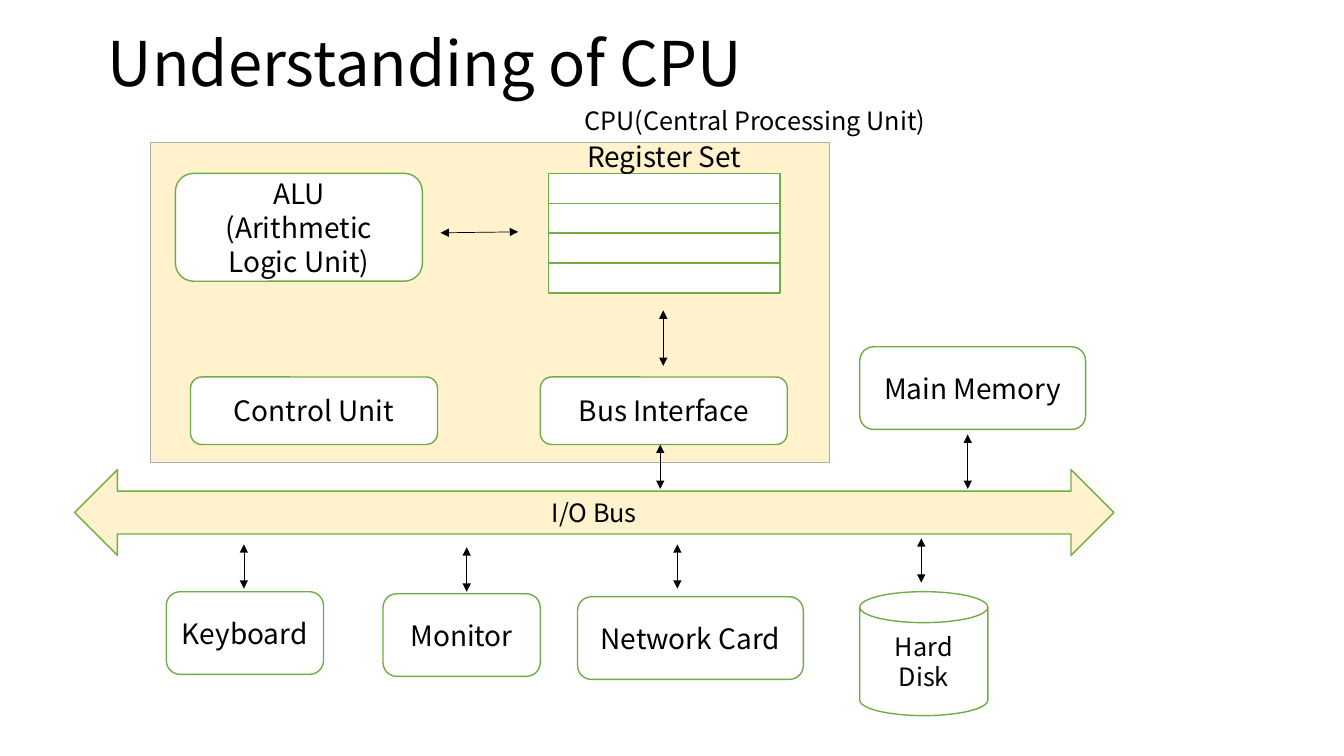
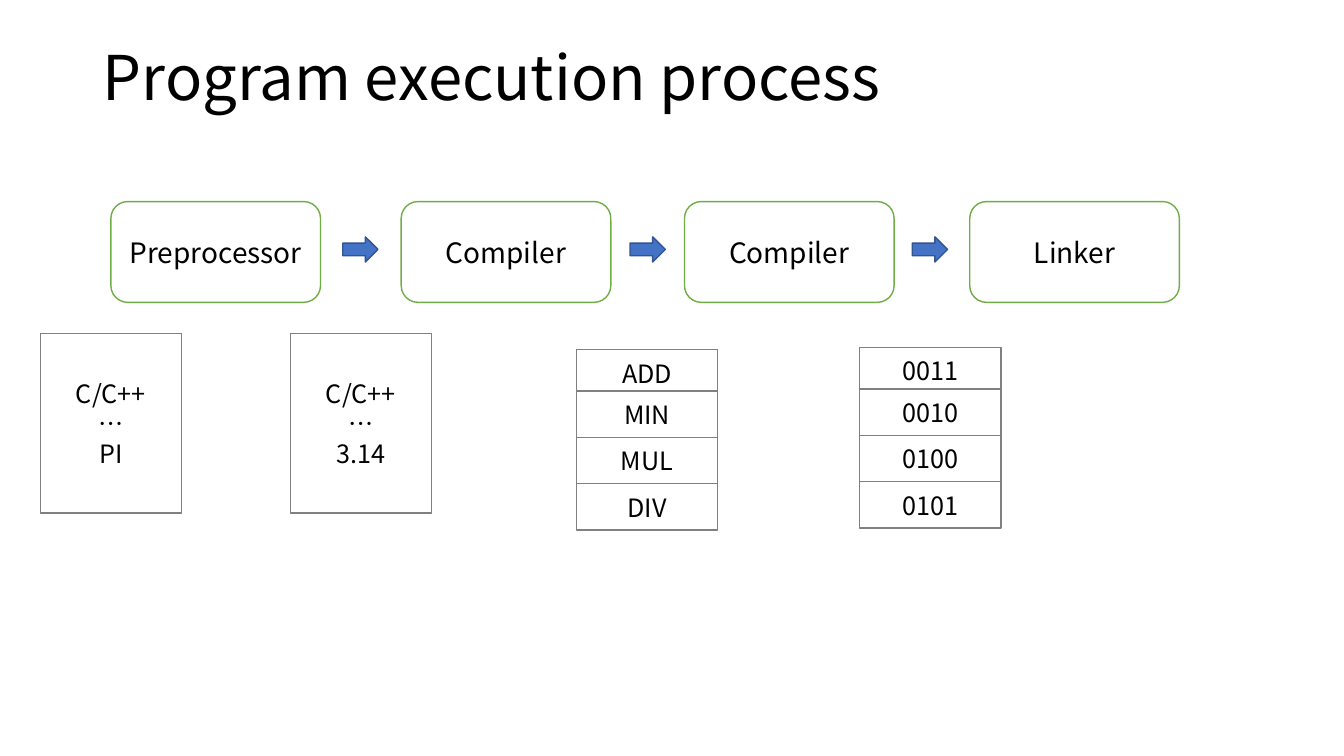
"""Build two slides on how a CPU and a program work."""
from dataclasses import dataclass

from lxml import etree
from pptx import Presentation
from pptx import util as u
from pptx.dml.color import RGBColor
from pptx.enum import shapes, text
from pptx.oxml import ns


@dataclass(frozen=True)
class Theme:
    font: str = "Noto Sans CJK KR"
    ink: str = "000000"
    paper: str = "FFFFFF"
    cream: str = "FFF2CC"
    green: str = "70AD47"
    silver: str = "AFABAB"
    grey: str = "808080"
    blue: str = "4472C4"
    navy: str = "325491"
    title: float = 44
    label: float = 20
    small: float = 18
    thin: float = 0.5
    line: float = 1


THEME = Theme()
KIND = shapes.MSO_SHAPE
CENTER = text.PP_ALIGN.CENTER
LEFT = text.PP_ALIGN.LEFT
MIDDLE = text.MSO_ANCHOR.MIDDLE
TOP = text.MSO_ANCHOR.TOP
COLUMNS, ROWS = 133.33, 75


@dataclass(frozen=True)
class Area:
    column: float
    row: float
    columns: float
    rows: float


@dataclass(frozen=True)
class Box:
    area: Area
    words: str = ""
    kind: int = KIND.ROUNDED_RECTANGLE
    fill: str = THEME.paper
    line: str = THEME.green
    width: float = THEME.line
    size: float = THEME.label


@dataclass(frozen=True)
class Link:
    column: float
    row: float
    columns: float = 0
    rows: float = 4.4


def cells(count: float) -> int:
    return u.Inches(count / 10)


def place(area: Area) -> tuple[int, int, int, int]:
    return (cells(area.column), cells(area.row),
            cells(area.columns), cells(area.rows))


def write(frame, words: str, *, size: float = THEME.label, align=CENTER,
          anchor=MIDDLE, spacing: float | None = None) -> None:
    frame.word_wrap = True
    frame.vertical_anchor = anchor
    for index, line in enumerate(words.split("\n")):
        para = frame.paragraphs[0] if index == 0 else frame.add_paragraph()
        para.alignment = align
        if spacing:
            para.line_spacing = spacing
        span = para.add_run()
        span.text = line
        span.font.name = THEME.font
        span.font.size = u.Pt(size)
        span.font.color.rgb = RGBColor.from_string(THEME.ink)
        east = etree.SubElement(span.font._element, ns.qn("a:ea"))
        east.set("typeface", THEME.font)


def add_page(deck, title: str, area: Area):
    page = deck.slides.add_slide(deck.slide_layouts[5])
    holder = page.shapes.title
    holder.left, holder.top, holder.width, holder.height = place(area)
    holder.text_frame.auto_size = text.MSO_AUTO_SIZE.NONE
    write(holder.text_frame, title, size=THEME.title, align=LEFT, spacing=0.9)
    return page


def add_box(page, box: Box) -> None:
    shape = page.shapes.add_shape(box.kind, *place(box.area))
    shape.shadow.inherit = False
    shape.fill.solid()
    shape.fill.fore_color.rgb = RGBColor.from_string(box.fill)
    shape.line.color.rgb = RGBColor.from_string(box.line)
    shape.line.width = u.Pt(box.width)
    if box.words:
        write(shape.text_frame, box.words, size=box.size)


def add_label(page, words: str, area: Area, *, size: float, align) -> None:
    label = page.shapes.add_textbox(*place(area))
    write(label.text_frame, words, size=size, align=align, anchor=TOP)
    label.text_frame.auto_size = text.MSO_AUTO_SIZE.SHAPE_TO_FIT_TEXT


def add_link(page, link: Link) -> None:
    line = page.shapes.add_connector(
        shapes.MSO_CONNECTOR.STRAIGHT, cells(link.column), cells(link.row),
        cells(link.column + link.columns), cells(link.row + link.rows))
    line.line.color.rgb = RGBColor.from_string(THEME.ink)
    line.line.width = u.Pt(THEME.thin)
    stroke = line.line._get_or_add_ln()
    for end in ("a:headEnd", "a:tailEnd"):
        etree.SubElement(stroke, ns.qn(end)).set("type", "triangle")
    etree.SubElement(line._element.spPr, ns.qn("a:effectLst"))


def build_cpu(deck) -> None:
    page = add_page(deck, "Understanding of CPU", Area(9.7, 1.6, 115, 10.1))
    registers = [Box(Area(54.4, 17.2 + 2.97 * index, 23, 2.97),
                     kind=KIND.RECTANGLE) for index in range(4)]
    boxes = [
        Box(Area(14.9, 14.1, 67.4, 31.8), kind=KIND.RECTANGLE,
            fill=THEME.cream, line=THEME.silver, width=THEME.thin),
        Box(Area(17.4, 17.2, 24.5, 10.7), "ALU\n(Arithmetic Logic Unit)"),
        Box(Area(18.9, 37.4, 24.5, 6.7), "Control Unit"),
        Box(Area(53.6, 37.4, 24.5, 6.7), "Bus Interface"),
        *registers,
        Box(Area(7.4, 46.6, 103.1, 8.5), "I/O Bus", KIND.LEFT_RIGHT_ARROW,
            fill=THEME.cream, size=THEME.small),
        Box(Area(85.3, 34.4, 22.4, 8.2), "Main Memory"),
        Box(Area(16.5, 58.7, 15.6, 8.2), "Keyboard"),
        Box(Area(38, 58.9, 15.6, 8.2), "Monitor"),
        Box(Area(57.3, 59.2, 22.4, 8.2), "Network Card"),
        Box(Area(85.3, 58.7, 12.7, 12.3), "Hard Disk", KIND.CAN,
            size=THEME.small),
    ]
    links = [
        Link(43.7, 23.1, 7.7, -0.1), Link(65.8, 30.8, rows=5.5),
        Link(96, 43.1, rows=5.4), Link(65.5, 44.1), Link(24.2, 54),
        Link(46.3, 54.3), Link(67.2, 54), Link(91.4, 53.4),
    ]
    for box in boxes:
        add_box(page, box)
    for link in links:
        add_link(page, link)
    add_label(page, "Register Set", Area(54.4, 13.3, 23, 3.1),
              size=THEME.label, align=CENTER)
    add_label(page, "CPU(Central Processing Unit)", Area(57, 10, 40.8, 4),
              size=THEME.small, align=LEFT)


def code_box(words: str, column: float, row: float, rows: float) -> Box:
    return Box(Area(column, row, 14, rows), words, KIND.RECTANGLE,
               line=THEME.grey, size=THEME.small)


def code_stack(words: str, column: float, row: float) -> list[Box]:
    return [code_box(word, column, row + max(0, 4.6 * index - 0.5), 4.6)
            for index, word in enumerate(words.split())]


def build_process(deck) -> None:
    page = add_page(deck, "Program execution process", Area(9.2, 4, 115, 8))
    stages = {11: "Preprocessor", 39.8: "Compiler",
              67.9: "Compiler", 96.2: "Linker"}
    boxes = [
        *(Box(Area(column, 20, 20.8, 10), name)
          for column, name in stages.items()),
        *(Box(Area(column, 23.5, 3.5, 2.5), kind=KIND.RIGHT_ARROW,
              fill=THEME.blue, line=THEME.navy) for column in (34, 62.5, 90.5)),
        code_box("C/C++\n…\nPI", 4, 33.1, 17.8),
        code_box("C/C++\n…\n3.14", 28.8, 33.1, 17.8),
        *code_stack("ADD MIN MUL DIV", 57.2, 34.7),
        *code_stack("0011 0010 0100 0101", 85.3, 34.5),
    ]
    for box in boxes:
        add_box(page, box)


def main() -> None:
    deck = Presentation()
    deck.slide_width, deck.slide_height = cells(COLUMNS), cells(ROWS)
    build_cpu(deck)
    build_process(deck)
    deck.save("out.pptx")


main()
